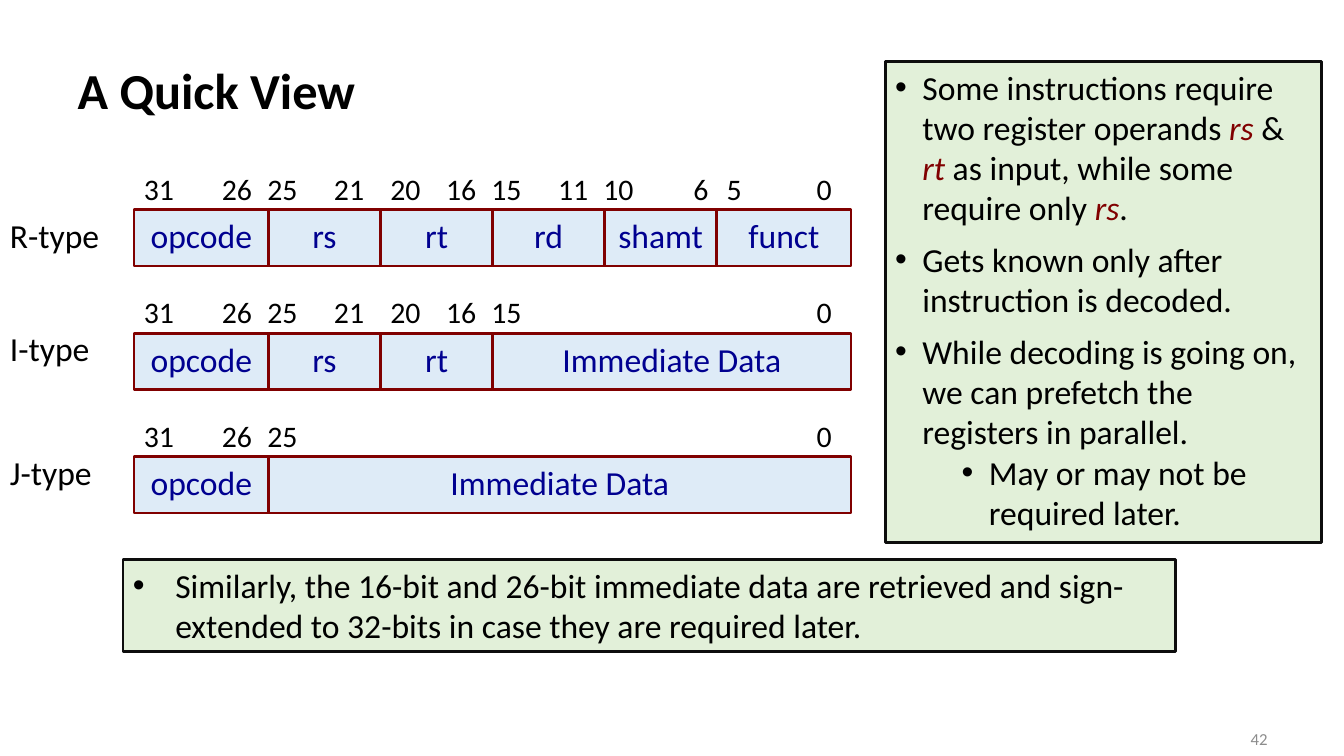
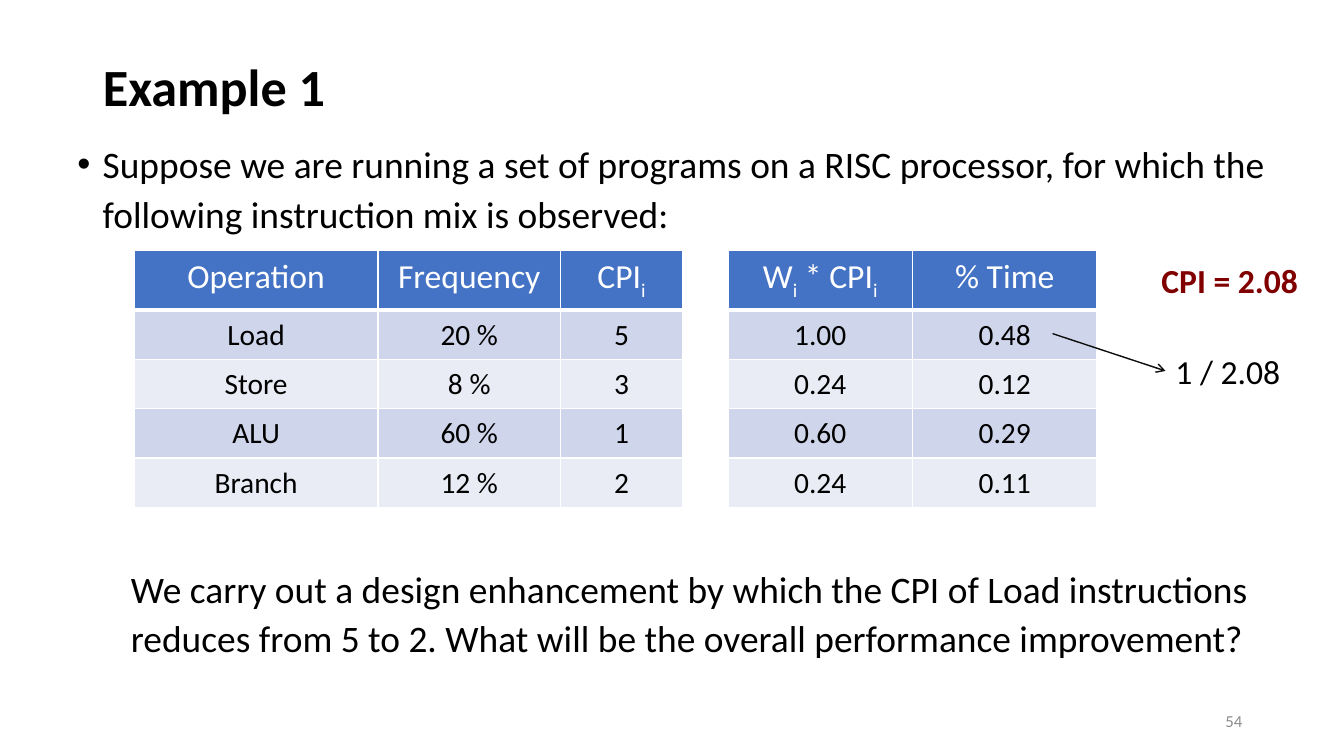
from dataclasses import dataclass

from lxml.etree import SubElement
from pptx import Presentation
from pptx.dml.color import RGBColor
from pptx.enum.shapes import MSO_CONNECTOR, MSO_SHAPE
from pptx.enum.text import MSO_ANCHOR, PP_ALIGN
from pptx.oxml.ns import qn
from pptx.util import Inches, Pt

FONT = "Calibri"
COLORS = {
    "black": "000000", "white": "FFFFFF", "outline": "0D0D0D", "footer": "8C8C8C",
    "maroon": "800000", "navy": "000090", "field": "DEEBF7", "note": "E2F0D9",
    "header": "4472C4", "band_dark": "CFD5EA", "band_light": "E9EBF5",
}
EMPHASIS = {"color": "maroon", "italic": True}
SUBSCRIPT = {"subscript": True}

FIELDS_LEFT = 1.33
BIT_WIDTH = 2 / 9
FORMAT_TOP = 2.08
FORMAT_PITCH = 1.225
# Left edge of a bit number, measured from its field's left or right edge.
FIRST_BIT_SHIFT = {25: -0.11, 15: -0.11, 10: -0.11}
LAST_BIT_SHIFT = {6: -0.33, 0: -0.44}
# Each format: name, label offset, fields with their highest and lowest bits.
FORMATS = [
    ("R-type", 0, [("opcode", 31, 26), ("rs", 25, 21), ("rt", 20, 16),
                   ("rd", 15, 11), ("shamt", 10, 6), ("funct", 5, 0)]),
    ("I-type", -0.1, [("opcode", 31, 26), ("rs", 25, 21), ("rt", 20, 16),
                      ("Immediate Data", 15, 0)]),
    ("J-type", -0.1, [("opcode", 31, 26), ("Immediate Data", 25, 0)]),
]


@dataclass
class Text:
    """One paragraph; runs is a string or a list of (text, style) pairs."""
    runs: str | list
    hanging: float = 0
    margin: float = 0
    level: int = 0
    space_after: float = 0
    line_spacing: float = 1.0
    align: PP_ALIGN = PP_ALIGN.LEFT


def rgb(name):
    return RGBColor.from_string(COLORS[name])


class Deck:
    def __init__(self):
        self.presentation = Presentation()
        self.presentation.slide_width = Inches(13.33)
        self.presentation.slide_height = Inches(7.5)
        self.slide = None

    def add_slide(self, title, box, size, number, number_box):
        self.slide = self.presentation.slides.add_slide(
            self.presentation.slide_layouts[5])
        shape = self.slide.shapes.title
        shape.left, shape.top, shape.width, shape.height = map(Inches, box)
        self.fill_frame(shape.text_frame, [Text(title, line_spacing=0.9)],
                        size, bold=True, anchor=MSO_ANCHOR.MIDDLE)
        self.text(number_box, [Text(number, align=PP_ALIGN.RIGHT)],
                  12, color="footer", anchor=MSO_ANCHOR.MIDDLE)

    def fill_frame(self, frame, texts, size, color="black", bold=False,
                   anchor=MSO_ANCHOR.TOP):
        frame.word_wrap = True
        frame.vertical_anchor = anchor
        for index, text in enumerate(texts):
            paragraph = frame.add_paragraph() if index else frame.paragraphs[0]
            self.format_paragraph(paragraph, text)
            runs = [(text.runs, {})] if isinstance(text.runs, str) else text.runs
            for content, style in runs:
                run = paragraph.add_run()
                run.text = content
                font = run.font
                font.name, font.size, font.bold = FONT, Pt(size), bold
                font.italic = style.get("italic", False)
                font.color.rgb = rgb(style.get("color", color))
                if style.get("subscript"):
                    run._r.get_or_add_rPr().set("baseline", "-25000")

    def format_paragraph(self, paragraph, text):
        paragraph.alignment = text.align
        paragraph.level = text.level
        paragraph.line_spacing = text.line_spacing
        paragraph.space_before = Pt(0)
        paragraph.space_after = Pt(text.space_after)
        if text.hanging:
            properties = paragraph._p.get_or_add_pPr()
            properties.set("marL", str(Inches(text.margin or text.hanging)))
            properties.set("indent", str(-Inches(text.hanging)))
            SubElement(properties, qn("a:buFont"), typeface="Arial")
            SubElement(properties, qn("a:buChar"), char="•")

    def text(self, box, texts, size=24, **style):
        shape = self.slide.shapes.add_textbox(*map(Inches, box))
        self.fill_frame(shape.text_frame, texts, size, **style)
        return shape

    def rectangle(self, box, texts, fill, line, **style):
        shape = self.slide.shapes.add_shape(MSO_SHAPE.RECTANGLE, *map(Inches, box))
        shape.shadow.inherit = False
        shape.fill.solid()
        shape.fill.fore_color.rgb = rgb(fill)
        shape.line.color.rgb = rgb(line)
        shape.line.width = Pt(2)
        self.fill_frame(shape.text_frame, texts, 24, **style)
        return shape

    def note(self, box, texts):
        self.rectangle(box, texts, "note", "outline")

    def instruction_format(self, top, fields):
        for name, first, last in fields:
            left = FIELDS_LEFT + (31 - first) * BIT_WIDTH
            width = (first - last + 1) * BIT_WIDTH
            field = self.rectangle((left, top, width, 0.56),
                                   [Text(name, align=PP_ALIGN.CENTER)],
                                   "field", "maroon", color="navy",
                                   anchor=MSO_ANCHOR.MIDDLE)
            field.text_frame.margin_top = 0
            for bit, edge in ((first, left + FIRST_BIT_SHIFT.get(first, 0)),
                              (last, left + width + LAST_BIT_SHIFT.get(last, -0.56))):
                self.text((edge, top - 0.44, 0.67, 0.46), [Text(str(bit))], 21.3)

    def table(self, left, top, widths, rows):
        heights = [0.53] + [0.49] * (len(rows) - 1)
        table = self.slide.shapes.add_table(
            len(rows), len(widths), Inches(left), Inches(top),
            Inches(sum(widths)), Inches(sum(heights))).table
        for column, width in zip(table.columns, widths):
            column.width = Inches(width)
        for index, (row, height) in enumerate(zip(rows, heights)):
            table.rows[index].height = Inches(height)
            for cell, content in zip(table.rows[index].cells, row):
                self.cell(cell, content, index)

    def cell(self, cell, content, row):
        cell.margin_left = cell.margin_right = Inches(0.13)
        cell.margin_top = cell.margin_bottom = Inches(0.07)
        properties = cell._tc.get_or_add_tcPr()
        for side in "LRTB":
            heavy = (row == 0 and side == "B") or (row == 1 and side == "T")
            border = SubElement(properties, qn(f"a:ln{side}"),
                                w=str(Pt(3 if heavy else 1)))
            fill = SubElement(border, qn("a:solidFill"))
            SubElement(fill, qn("a:srgbClr"), val=COLORS["white"])
        cell.fill.solid()
        band = "band_dark" if row % 2 else "band_light"
        cell.fill.fore_color.rgb = rgb(band if row else "header")
        self.fill_frame(cell.text_frame, [Text(content, align=PP_ALIGN.CENTER)],
                        21 if row else 24, color="black" if row else "white")

    def arrow_to(self, start, target):
        """Draw an arrow from a point to the left side of a shape."""
        x, y = map(Inches, start)
        connector = self.slide.shapes.add_connector(
            MSO_CONNECTOR.STRAIGHT, x, y, target.left, target.top)
        connector.end_connect(target, 1)
        connector.line.color.rgb = rgb("outline")
        connector.line.width = Pt(1)
        SubElement(connector.line._get_or_add_ln(), qn("a:tailEnd"), type="arrow")
        SubElement(connector._element.spPr, qn("a:effectLst"))


def add_quick_view(deck):
    deck.add_slide("A Quick View", (0.67, 0.3, 5.44, 1.25), 36,
                   "42", (9.56, 7.13, 3.11, 0.4))
    for index, (name, label_shift, fields) in enumerate(FORMATS):
        top = FORMAT_TOP + index * FORMAT_PITCH
        deck.instruction_format(top, fields)
        deck.text((0, top + label_shift, 1.67, 0.5), [Text(name)])
    deck.note((8.78, 0.61, 4.33, 4.77), [
        Text([("Some instructions require two register operands ", {}),
              ("rs", EMPHASIS), (" & ", {}), ("rt", EMPHASIS),
              (" as input, while some require only ", {}),
              ("rs", EMPHASIS), (".", {})], hanging=0.27, space_after=8),
        Text("Gets known only after instruction is decoded.",
             hanging=0.27, space_after=8),
        Text("While decoding is going on, we can prefetch the registers in parallel.",
             hanging=0.27),
        Text("May or may not be required later.", hanging=0.27, margin=0.93, level=1),
    ])
    deck.note((1.22, 5.55, 10.44, 0.91), [
        Text("Similarly, the 16-bit and 26-bit immediate data are retrieved and "
             "sign-extended to 32-bits in case they are required later.",
             hanging=0.42)])


def add_example(deck):
    deck.add_slide("Example 1", (0.92, 0.4, 11.5, 0.98), 37.3,
                   "54", (9.42, 6.95, 3, 0.4))
    deck.text((0.67, 1.31, 12.44, 1.1), [
        Text("Suppose we are running a set of programs on a RISC processor, for "
             "which the following instruction mix is observed:",
             hanging=0.25, line_spacing=1.1)], 26.7)
    deck.table(1.33, 2.48, [2.42, 1.81, 1.21], [
        ["Operation", "Frequency", [("CPI", {}), ("i", SUBSCRIPT)]],
        ["Load", "20 %", "5"],
        ["Store", "8 %", "3"],
        ["ALU", "60 %", "1"],
        ["Branch", "12 %", "2"],
    ])
    deck.table(7.22, 2.48, [1.83, 1.83], [
        [[("W", {}), ("i", SUBSCRIPT), (" * CPI", {}), ("i", SUBSCRIPT)], "% Time"],
        ["1.00", "0.48"],
        ["0.24", "0.12"],
        ["0.60", "0.29"],
        ["0.24", "0.11"],
    ])
    deck.text((11.42, 2.53, 1.69, 0.5), [Text("CPI = 2.08")],
              color="maroon", bold=True)
    ratio = deck.text((11.56, 3.43, 1.44, 0.5), [Text("1 / 2.08")])
    deck.arrow_to((10.44, 3.31), ratio)
    deck.text((1.2, 5.52, 11.91, 1.1), [
        Text("We carry out a design enhancement by which the CPI of Load "
             "instructions reduces from 5 to 2. What will be the overall "
             "performance improvement?", line_spacing=1.1)], 26.7)


def main():
    deck = Deck()
    add_quick_view(deck)
    add_example(deck)
    deck.presentation.save("out.pptx")


if __name__ == "__main__":
    main()
